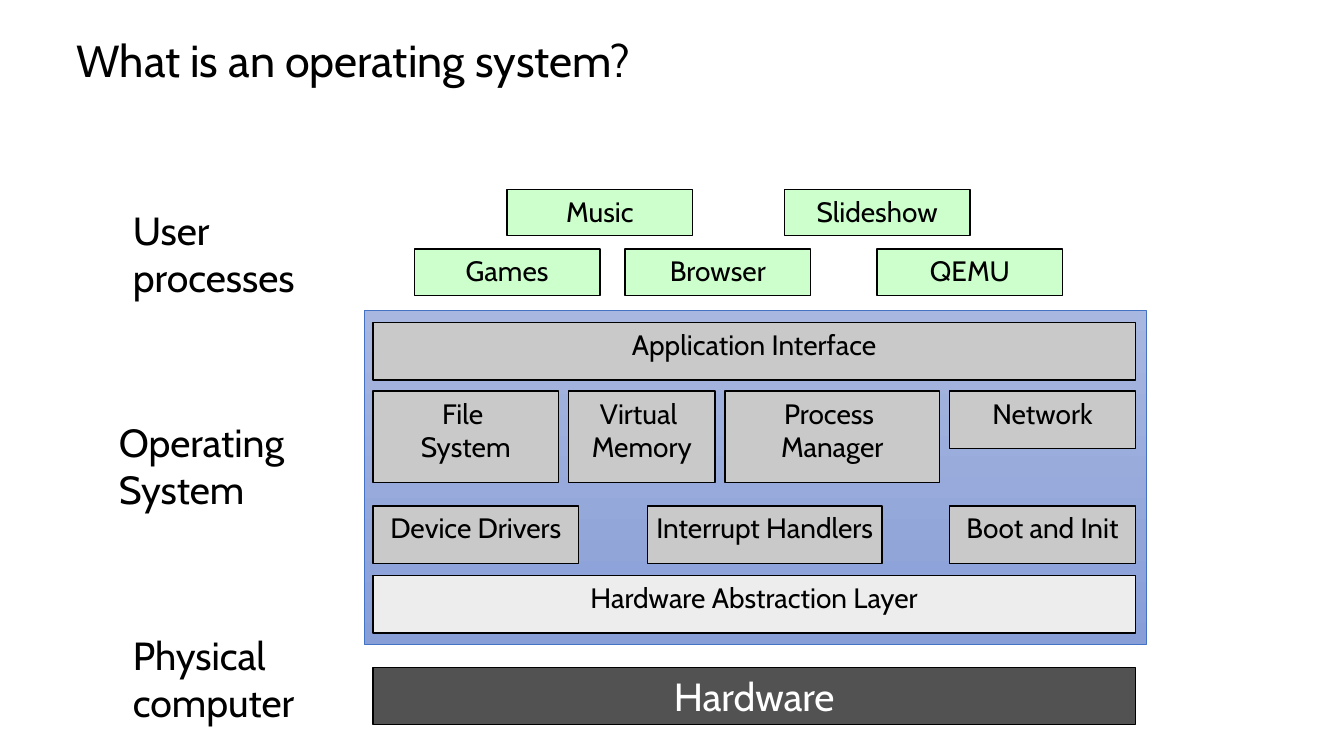
from pptx import Presentation
from pptx.dml.color import RGBColor
from pptx.enum.shapes import MSO_SHAPE
from pptx.enum.text import MSO_ANCHOR, PP_ALIGN
from pptx.util import Inches, Pt

RECT = MSO_SHAPE.RECTANGLE
TOP, MIDDLE = MSO_ANCHOR.TOP, MSO_ANCHOR.MIDDLE
LEFT, CENTER = PP_ALIGN.LEFT, PP_ALIGN.CENTER

FONT = "Cabin"
BLACK, WHITE = "000000", "FFFFFF"
GREEN, GRAY, PALE, DARK = "CCFFCC", "C9C9C9", "EDEDED", "525252"
BLUE, SKY, DEEP = "4472C4", "A8B7DF", "889ED7"

WIDE = 1.84  # usual block width
APP = 0.46   # height of a process block
LOW = 0.57   # height of a one-line block
TALL = 0.91  # height of a two-line block
STEP = 0.59  # from one row of processes to the next


def paint(color):
    return RGBColor.from_string(color)


def write(frame, text, size, color=BLACK, align=LEFT):
    """Fill the first paragraph, with a line break at each newline."""
    para = frame.paragraphs[0]
    para.alignment = align
    for i, line in enumerate(text.split("\n")):
        if i:
            para.add_line_break()
        run = para.add_run()
        run.text = line
        run.font.name = FONT
        run.font.size = Pt(size)
        run.font.color.rgb = paint(color)
    return para


def label(slide, box, text, size=28, anchor=TOP):
    frame = slide.shapes.add_textbox(*map(Inches, box)).text_frame
    frame.word_wrap = True
    frame.vertical_anchor = anchor
    return write(frame, text, size)


def panel(slide, box, edge, weight):
    shape = slide.shapes.add_shape(RECT, *map(Inches, box))
    shape.shadow.inherit = False
    shape.line.color.rgb = paint(edge)
    shape.line.width = Pt(weight)
    return shape


def block(slide, box, text, fill=GRAY, size=20, color=BLACK):
    shape = panel(slide, box, BLACK, 1)
    shape.fill.solid()
    shape.fill.fore_color.rgb = paint(fill)
    frame = shape.text_frame
    frame.word_wrap = False
    frame.vertical_anchor = TOP
    write(frame, text, size, color, CENTER)


def title(slide, box):
    para = label(slide, box, "What is an operating system?", 32, MIDDLE)
    para.line_spacing = 0.9


def users(slide, left, top):
    """Staggered rows of user processes."""
    rows = [
        [(0.92, "Music"), (3.67, "Slideshow")],
        [(0, "Games"), (2.09, "Browser"), (4.59, "QEMU")],
    ]
    for i, row in enumerate(rows):
        for x, name in row:
            block(slide, (left + x, top + i * STEP, WIDE, APP), name, GREEN)


def kernel(slide, box):
    """The operating system: a shaded panel with its parts inside."""
    left, top, width, height = box
    back = panel(slide, box, BLUE, 0.5)
    back.fill.gradient()
    back.fill.gradient_angle = 270
    for stop, color, place in zip(back.fill.gradient_stops, (SKY, DEEP), (0, 1)):
        stop.color.rgb = paint(color)
        stop.position = place

    pad = 0.09
    full = 7.56
    last = full - WIDE
    parts = [
        (0, 0.12, full, LOW, "Application Interface", GRAY),
        (0, 0.8, WIDE, TALL, "File \nSystem", GRAY),
        (1.94, 0.8, 1.45, TALL, "Virtual \nMemory", GRAY),
        (3.49, 0.8, 2.13, TALL, "Process \nManager", GRAY),
        (last, 0.8, WIDE, LOW, "Network", GRAY),
        (0, 1.94, 2.04, LOW, "Device Drivers", GRAY),
        (2.72, 1.94, 2.33, LOW, "Interrupt Handlers", GRAY),
        (last, 1.94, WIDE, LOW, "Boot and Init", GRAY),
        (0, 2.63, full, LOW, "Hardware Abstraction Layer", PALE),
    ]
    for x, y, wide, high, name, fill in parts:
        block(slide, (left + pad + x, top + y, wide, high), name, fill)


def main():
    deck = Presentation()
    deck.slide_width, deck.slide_height = Inches(13.33), Inches(7.5)
    slide = deck.slides.add_slide(deck.slide_layouts[6])
    title(slide, (0.66, 0.25, 12, 0.75))
    label(slide, (1.22, 2, 2.17, 1.04), "User processes")
    users(slide, 4.11, 1.88)
    label(slide, (1.08, 4.1, 2.33, 1.04), "Operating System")
    kernel(slide, (3.61, 3.08, 7.76, 3.31))
    label(slide, (1.22, 6.21, 2.17, 1.04), "Physical computer")
    block(slide, (3.7, 6.62, 7.56, LOW), "Hardware", DARK, 28, WHITE)
    deck.save("out.pptx")


if __name__ == "__main__":
    main()
